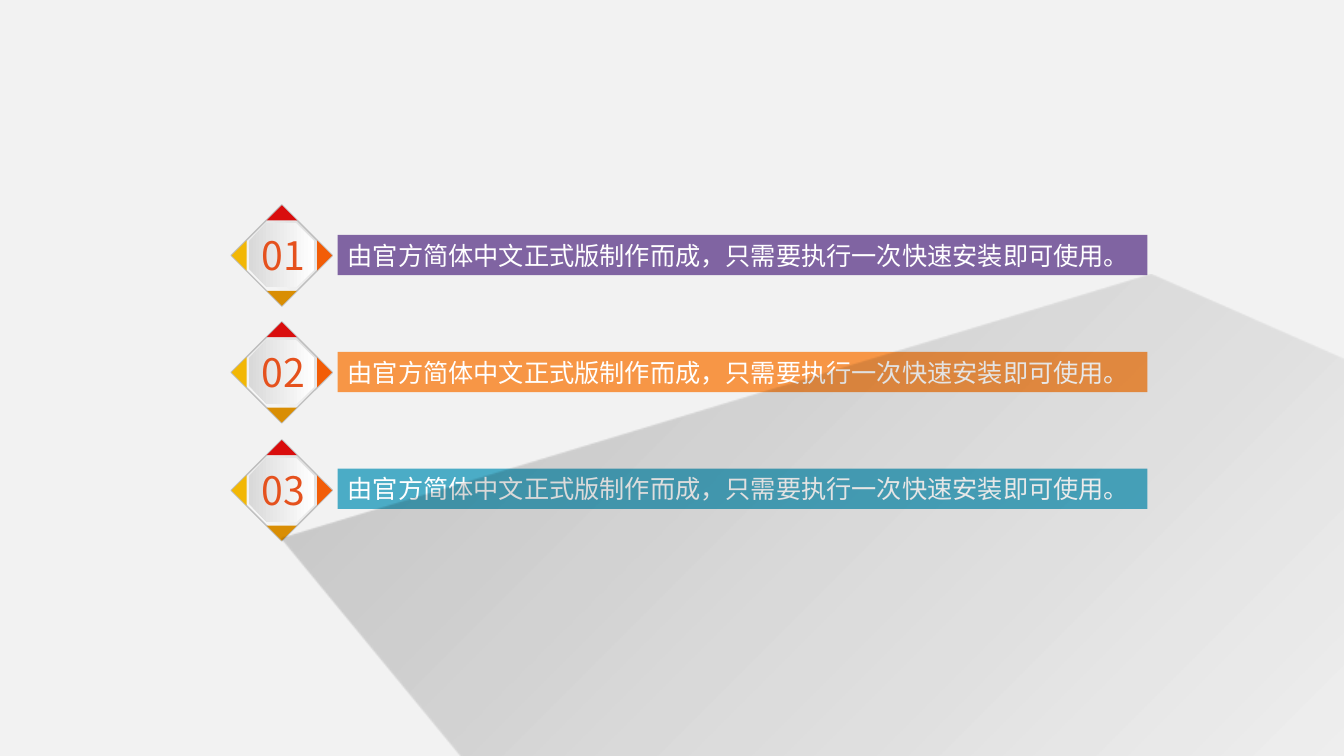
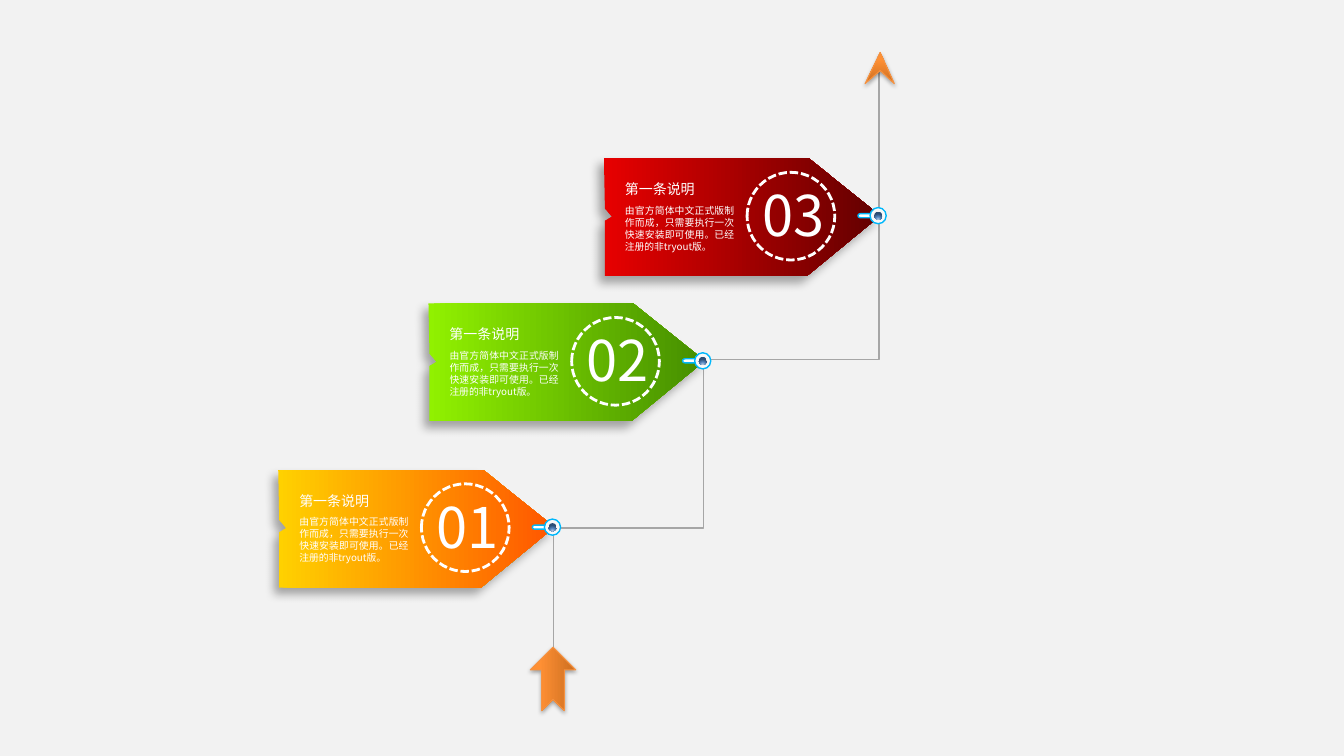
"""Build two slides: a numbered bar list and a rising path of arrow tags."""
from lxml import etree
from pptx import Presentation, util as u
from pptx.dml.color import RGBColor
from pptx.enum import dml, shapes, text
from pptx.oxml.ns import qn

PX = 9144
FONT = "Noto Sans CJK SC"
GROUND = RGBColor(0xF2, 0xF2, 0xF2)
WHITE = RGBColor(0xFF, 0xFF, 0xFF)
BLACK = RGBColor(0x00, 0x00, 0x00)
SILVER = RGBColor(0xD9, 0xD9, 0xD9)
EDGE = RGBColor(0xBF, 0xBF, 0xBF)
GREY = RGBColor(0xA6, 0xA6, 0xA6)
RUST = RGBColor(0xE5, 0x51, 0x1D)
RED = RGBColor(0xD9, 0x0D, 0x0D)
FLAME = RGBColor(0xF2, 0x5D, 0x07)
OCHRE = RGBColor(0xD9, 0x8E, 0x04)
GOLD = RGBColor(0xF2, 0xB7, 0x05)
PURPLE = RGBColor(0x80, 0x64, 0xA2)
ORANGE = RGBColor(0xF7, 0x96, 0x46)
TEAL = RGBColor(0x4B, 0xAC, 0xC6)
COPPER = RGBColor(0xCC, 0x6E, 0x20)
AMBER = RGBColor(0xFF, 0x90, 0x34)
RIM = RGBColor(0xF6, 0x92, 0x40)
SKY = RGBColor(0x00, 0xB7, 0xFB)
PALE = RGBColor(0xB9, 0xCD, 0xE5)
BLUE = RGBColor(0x58, 0x87, 0xC0)
NAVY = RGBColor(0x2C, 0x4D, 0x75)
YELLOW = RGBColor(0xFF, 0xD1, 0x00)
EMBER = RGBColor(0xFF, 0x56, 0x00)
LIME = RGBColor(0x91, 0xF1, 0x00)
GREEN = RGBColor(0x45, 0x8E, 0x00)
SCARLET = RGBColor(0xE7, 0x00, 0x00)
MAROON = RGBColor(0x62, 0x00, 0x00)

KIND = shapes.MSO_SHAPE
MID = text.MSO_ANCHOR.MIDDLE
LEFT = text.PP_ALIGN.LEFT
FULL = text.PP_ALIGN.JUSTIFY


def draw(home, kind, geo, fill=None, grad=None, line=None, shade=None, turn=0, shut=True):
    """Add a preset shape in a box, or an outline through points when kind is None."""
    if kind is None:
        pen = home.build_freeform(*geo[0], scale=PX)
        pen.add_line_segments(geo[1:], close=shut)
        shape = pen.convert_to_shape()
    else:
        shape = home.add_shape(kind, *[n * PX for n in geo])
    shape.rotation = turn
    shape.shadow.inherit = False
    props = shape._element.spPr
    if grad:
        stops, way = grad
        shape.fill.gradient()
        node = props.find(qn("a:gradFill"))
        for child in list(node):
            node.remove(child)
        node.set("rotWithShape", "1")
        band = etree.SubElement(node, qn("a:gsLst"))
        for spot, tint, *alpha in stops:
            stop = etree.SubElement(band, qn("a:gs"), pos=str(spot * 1000))
            hue = etree.SubElement(stop, qn("a:srgbClr"), val=str(tint))
            for part in alpha:
                etree.SubElement(hue, qn("a:alpha"), val=str(part * 1000))
        if isinstance(way, int):
            etree.SubElement(node, qn("a:lin"), ang=str(way * 60000), scaled="0")
        else:
            ring = etree.SubElement(node, qn("a:path"), {"path": "circle"})
            sides = {side: str(n * 1000) for side, n in zip("ltrb", way)}
            etree.SubElement(ring, qn("a:fillToRect"), sides)
    elif fill is not None:
        shape.fill.solid()
        shape.fill.fore_color.rgb = fill
    else:
        shape.fill.background()
    if line:
        shape.line.color.rgb = line[0]
        shape.line.width = u.Pt(line[1])
    else:
        shape.line.fill.background()
    if shade:
        alpha, blur, dist, way = shade
        cast = etree.SubElement(
            props.find(qn("a:effectLst")), qn("a:outerShdw"),
            blurRad=str(u.Pt(blur)), dist=str(u.Pt(dist)),
            dir=str(way * 60000), algn="ctr", rotWithShape="0")
        hue = etree.SubElement(cast, qn("a:srgbClr"), val=str(BLACK))
        etree.SubElement(hue, qn("a:alpha"), val=str(alpha * 1000))
    return shape


def write(shape, words, size, color=WHITE, align=LEFT, wrap=False, lead=None):
    """Set one formatted paragraph in a shape or text box."""
    frame = shape.text_frame
    frame.word_wrap = wrap
    frame.vertical_anchor = MID
    frame.margin_left = frame.margin_right = 10 * PX
    frame.margin_top = frame.margin_bottom = 0
    para = frame.paragraphs[0]
    para.alignment = align
    if lead:
        para.line_spacing = u.Pt(lead)
    run = para.add_run()
    run.text = words
    run.font.name = FONT
    run.font.size = u.Pt(size)
    run.font.color.rgb = color
    etree.SubElement(run.font._element, qn("a:ea"), typeface=FONT)


deck = Presentation()
deck.slide_width, deck.slide_height = u.Inches(13.33), u.Inches(7.5)
deck.slide_master.background.fill.solid()
deck.slide_master.background.fill.fore_color.rgb = GROUND
blank = deck.slide_layouts[6]
SHINE = [(0, SILVER), (100, WHITE)]

page = deck.slides.add_slide(blank).shapes
corners = [(0, -1, RED), (1, 0, FLAME), (0, 1, OCHRE), (-1, 0, GOLD)]
facet = [(265, 221), (293, 221), (312, 240), (312, 267),
         (294, 285), (265, 285), (247, 267), (247, 239)]
for row, tint in enumerate([PURPLE, ORANGE, TEAL]):
    drop = row * 233 // 2
    badge = page.add_group_shape().shapes
    draw(badge, KIND.RECTANGLE, (244, 218 + drop, 71, 71),
         grad=(SHINE, 90), line=(EDGE, 1), turn=45)
    for step, (dx, dy, hue) in enumerate(corners):
        draw(badge, KIND.RIGHT_TRIANGLE, (269 + 35 * dx, 243 + 35 * dy + drop, 21, 21),
             fill=hue, turn=(135 + 90 * step) % 360)
    draw(badge, None, [(x, y + drop) for x, y in facet], grad=(SHINE, 0))
    label = badge.add_textbox(*[n * PX for n in (250, 226 + drop, 64, 54)])
    write(label, f"0{row + 1}", 28, color=RUST)
    bar = draw(page, KIND.RECTANGLE, (335, 233 + row * 116, 803, 40), fill=tint)
    write(bar, "由官方简体中文正式版制作而成，只需要执行一次快速安装即可使用。", 18)
draw(page, None, [(279, 534), (627, 956), (1308, 947), (1793, 558), (1142, 272)],
     grad=([(0, BLACK, 20), (72, BLACK, 0), (100, BLACK, 0)], 45))

page = deck.slides.add_slide(blank).shapes
glow = ([(0, COPPER), (80, AMBER), (100, AMBER)], 270)
soft = (35, 3.1, 1.8, 90)
draw(page, None, [(549, 682), (549, 524), (698, 524), (698, 357), (872, 357), (872, 68)],
     line=(GREY, 1), shut=False)
draw(page, KIND.NOTCHED_RIGHT_ARROW, (517, 651, 63, 45),
     grad=glow, line=(RIM, 0.75), shade=soft, turn=270)
draw(page, None, [(873, 52), (858, 83), (873, 70), (887, 83)],
     grad=glow, line=(RIM, 0.75), shade=soft)

outline = [(0, 0), (203, 0), (274, 57), (201, 117), (1, 117), (1, 62), (8, 58), (1, 50)]
tags = [("01", 276, 466, YELLOW, EMBER),
        ("03", 599, 157, SCARLET, MAROON),
        ("02", 425, 301, LIME, GREEN)]
notes = "由官方简体中文正式版制作而成，只需要执行一次快速安装即可使用。已经注册的非tryout版。"
for num, left, top, start, end in tags:
    tag = page.add_group_shape().shapes
    draw(tag, None, [(left + x, top + y) for x, y in outline],
         grad=([(0, start), (100, end)], 0), shade=(32, 7, 6, 130))
    draw(tag, KIND.FLOWCHART_TERMINATOR, (left + 252, top + 55, 16, 4),
         fill=WHITE, line=(SKY, 1))
    draw(tag, KIND.OVAL, (left + 264, top + 49, 16, 16),
         grad=([(0, GROUND), (100, WHITE)], (50, 50, 50, 50)), line=(SKY, 1))
    draw(tag, KIND.OVAL, (left + 268, top + 53, 8, 8),
         grad=([(0, PALE), (46, BLUE), (100, NAVY)], (50, 130, 50, -30)))
    for words, box, style in [
            (num, (147, 17, 83, 77), dict(size=40)),
            ("第一条说明", (11, 17, 90, 27), dict(size=10)),
            (notes, (11, 41, 128, 57), dict(size=7, align=FULL, wrap=True, lead=8.5))]:
        x, y, wide, high = box
        label = tag.add_textbox(*[n * PX for n in (left + x, top + y, wide, high)])
        write(label, words, **style)
    hoop = draw(tag, KIND.OVAL, (left + 142, top + 14, 87, 87), line=(WHITE, 2))
    hoop.line.dash_style = dml.MSO_LINE.SQUARE_DOT

deck.save("out.pptx")
